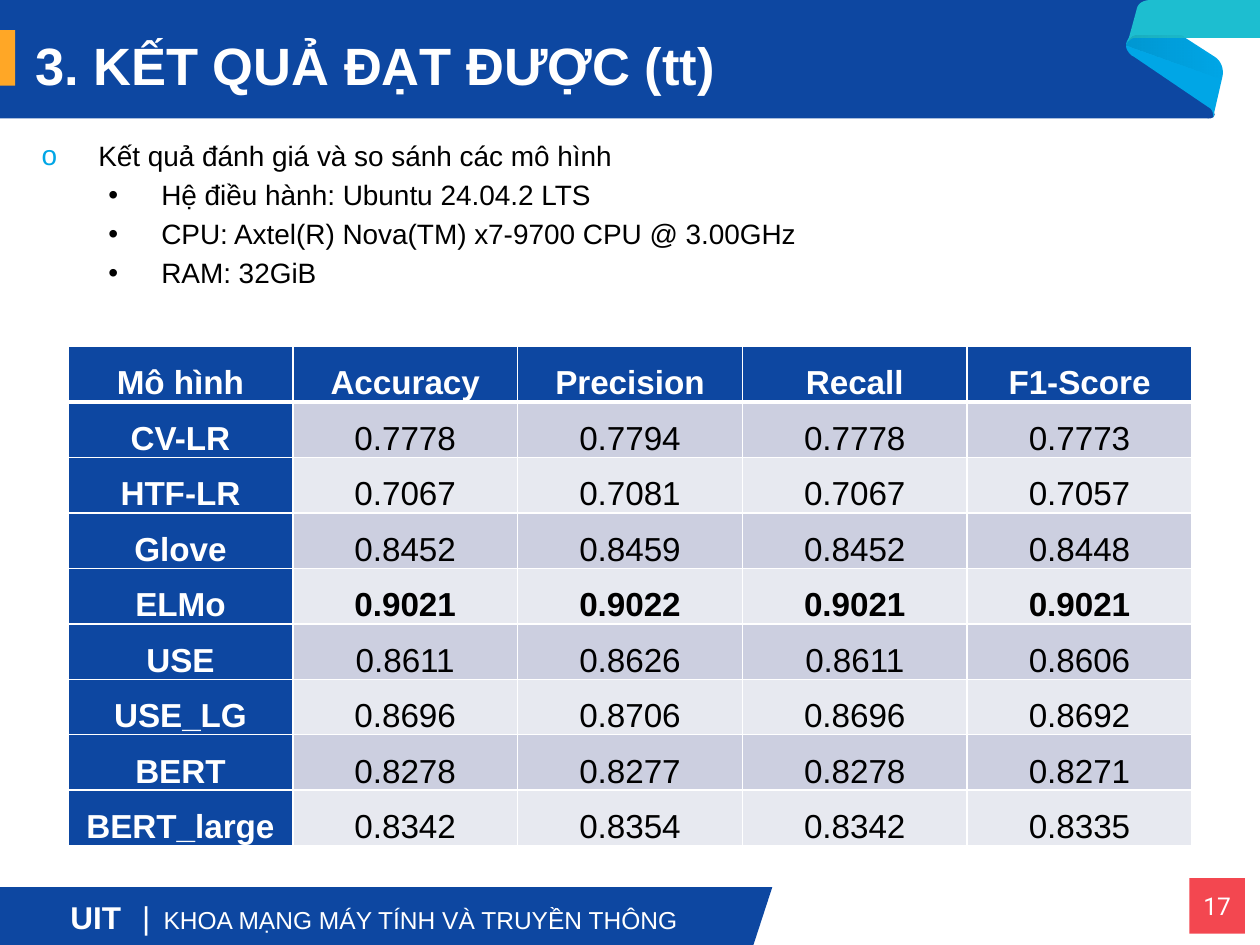
from dataclasses import dataclass
from itertools import product

from lxml import etree
from pptx import Presentation
from pptx.dml.color import RGBColor
from pptx.enum import shapes, text
from pptx.oxml import ns
from pptx.util import Inches, Pt


@dataclass(frozen=True)
class Theme:
    """Colours, fonts and type sizes."""
    navy: str = "0D47A1"
    blue: str = "00A6E6"
    teal: str = "1DBED0"
    amber: str = "FFA726"
    red: str = "F34750"
    white: str = "FFFFFF"
    black: str = "000000"
    odd: str = "CCCFE0"
    even: str = "E7E9F0"
    face: str = "Arial"
    digit: str = "Roboto"
    head: int = 30
    cell: int = 19
    mark: int = 18
    body: int = 16
    small: int = 14


def add(node, tag, **attrs):
    """Append a drawing element with the given attributes."""
    return etree.SubElement(node, ns.qn("a:" + tag), attrs)


def curve(start, ctrl, steps=12):
    """Return points along a cubic curve."""
    pts = [start, ctrl[:2], ctrl[2:4], ctrl[4:]]
    out = []
    for i in range(1, steps + 1):
        t = i / steps
        mix = ((1 - t) ** 3, 3 * t * (1 - t) ** 2, 3 * t * t * (1 - t), t ** 3)
        out.append(tuple(sum(m * p[k] for m, p in zip(mix, pts)) for k in (0, 1)))
    return out


class Deck:
    """Holds the theme and the current slide."""

    def __init__(self, theme):
        self.theme = theme
        self.prs = Presentation()
        self.prs.slide_width, self.prs.slide_height = Inches(10), Inches(7.5)
        self.slide = self.prs.slides.add_slide(self.prs.slide_layouts[1])

    def font(self, font, size, color, bold=False, face=None):
        font.size, font.bold, font.name = Pt(size), bold, face or self.theme.face
        font.color.rgb = RGBColor.from_string(color)

    def paint(self, shape, color):
        shape.shadow.inherit = False
        shape.line.fill.background()
        if color:
            shape.fill.solid()
            shape.fill.fore_color.rgb = RGBColor.from_string(color)

    def outline(self, path, color=None):
        pts = [path[0]]
        for step in path[1:]:
            pts += [step] if len(step) == 2 else curve(pts[-1], step)
        pts = [(Inches(x), Inches(y)) for x, y in pts]
        pen = self.slide.shapes.build_freeform(*pts[0])
        pen.add_line_segments(pts[1:])
        shape = pen.convert_to_shape()
        self.paint(shape, color)
        return shape

    def shade(self, path):
        shape = self.outline(path)
        shape.fill.gradient()
        shape.fill.gradient_angle = 0
        for stop, pos in zip(shape.fill.gradient_stops, (0, 1)):
            stop.position = pos
            stop.color.rgb = RGBColor.from_string(self.theme.black)
        for node, alpha in zip(shape.element.iter(ns.qn("a:srgbClr")), ("9000", "0")):
            add(node, "alpha", val=alpha)

    def block(self, box, color, label=""):
        shape = self.slide.shapes.add_shape(
            shapes.MSO_SHAPE.RECTANGLE, *map(Inches, box))
        self.paint(shape, color)
        if label:
            frame = shape.text_frame
            frame.margin_left = frame.margin_right = 0
            frame.margin_top = frame.margin_bottom = 0
            para = frame.paragraphs[0]
            para.text, para.alignment = label, text.PP_ALIGN.CENTER
            self.font(para.font, self.theme.small, self.theme.white,
                      face=self.theme.digit)

    def footer(self, box, parts, tabs):
        frame = self.slide.shapes.add_textbox(*map(Inches, box)).text_frame
        frame.word_wrap = True
        para = frame.paragraphs[0]
        stops = add(para._p.get_or_add_pPr(), "tabLst")
        for pos in tabs:
            add(stops, "tab", pos=str(Inches(pos)), algn="l")
        for words, size, bold in parts:
            run = para.add_run()
            run.text = words
            self.font(run.font, size, self.theme.white, bold)

    def holder(self, shape, box):
        shape.element.getparent().append(shape.element)
        shape.left, shape.top, shape.width, shape.height = map(Inches, box)
        shape.text_frame.auto_size = text.MSO_AUTO_SIZE.NONE
        shape.text_frame.word_wrap = True
        return shape.text_frame

    def title(self, box, words):
        frame = self.holder(self.slide.shapes.title, box)
        frame.vertical_anchor = text.MSO_ANCHOR.MIDDLE
        para = frame.paragraphs[0]
        para.text, para.alignment = words, text.PP_ALIGN.LEFT
        para.line_spacing = 0.9
        self.font(para.font, self.theme.head, self.theme.white, True)

    def bullets(self, box, items):
        frame = self.holder(self.slide.placeholders[1], box)
        kinds = (("o", self.theme.blue, 0.5, -0.45, 0),
                 ("•", self.theme.black, 1, -0.42, 5))
        for i, (level, words) in enumerate(items):
            char, color, left, hang, gap = kinds[level]
            para = frame.add_paragraph() if i else frame.paragraphs[0]
            para.text, para.level = words, level
            para.alignment = text.PP_ALIGN.JUSTIFY
            para.line_spacing, para.space_before = 0.9, Pt(gap)
            props = para._p.get_or_add_pPr()
            props.set("marL", str(Inches(left)))
            props.set("indent", str(Inches(hang)))
            add(add(props, "buClr"), "srgbClr", val=color)
            add(props, "buFont", typeface=self.theme.face)
            add(props, "buChar", char=char)
            self.font(para.font, self.theme.body, self.theme.black)

    def edges(self, cell, row):
        props = cell._tc.get_or_add_tcPr()
        for side in "LRTB":
            thick = (row, side) in ((0, "B"), (1, "T"))
            line = add(props, "ln" + side, w=str(Pt(3 if thick else 1)))
            add(add(line, "solidFill"), "srgbClr", val=self.theme.white)

    def table(self, box, rows, best):
        tall, wide = len(rows), len(rows[0])
        grid = self.slide.shapes.add_table(tall, wide, *map(Inches, box)).table
        for r, c in product(range(tall), range(wide)):
            cell, key = grid.cell(r, c), r == 0 or c == 0
            self.edges(cell, r)
            cell.margin_left = cell.margin_right = Inches(0.11)
            cell.margin_top = cell.margin_bottom = 0
            cell.fill.solid()
            fill = self.theme.navy if key else self.theme.odd if r % 2 else self.theme.even
            cell.fill.fore_color.rgb = RGBColor.from_string(fill)
            para = cell.text_frame.paragraphs[0]
            para.text, para.alignment = rows[r][c], text.PP_ALIGN.CENTER
            para.line_spacing, para.space_after = 1.5, Pt(10)
            ink = self.theme.white if key else self.theme.black
            self.font(para.font, self.theme.cell, ink, key or rows[r][0] == best)


SCORES = """Mô hình|Accuracy|Precision|Recall|F1-Score
CV-LR|0.7778|0.7794|0.7778|0.7773
HTF-LR|0.7067|0.7081|0.7067|0.7057
Glove|0.8452|0.8459|0.8452|0.8448
ELMo|0.9021|0.9022|0.9021|0.9021
USE|0.8611|0.8626|0.8611|0.8606
USE_LG|0.8696|0.8706|0.8696|0.8692
BERT|0.8278|0.8277|0.8278|0.8271
BERT_large|0.8342|0.8354|0.8342|0.8335"""


def main():
    """Build the results slide."""
    look = Theme()
    deck = Deck(look)
    deck.outline([(0, 0), (9.21, 0), (9.32, 0, 9.26, 0.33, 9.32, 0.46),
                  (9.38, 0.6, 9.5, 0.68, 9.59, 0.78), (9.62, 0.8, 9.63, 0.84, 9.63, 0.88),
                  (9.64, 0.91), (9.63, 0.95, 9.59, 0.94, 9.55, 0.94), (0, 0.94)], look.navy)
    deck.outline([(8.98, 0.44), (9, 0.45), (9.59, 0.85), (9.63, 0.87, 9.63, 0.91, 9.63, 0.94),
                  (9.64, 0.88), (9.7, 0.62), (9.72, 0.55, 9.69, 0.48, 9.64, 0.45),
                  (9.33, 0.25), (9.01, 0.26), (8.98, 0.26, 8.95, 0.31, 8.94, 0.34),
                  (8.93, 0.38, 8.95, 0.41, 8.98, 0.44)], look.blue)
    deck.outline([(8.94, 0.35), (8.95, 0.33, 8.98, 0.3, 9.01, 0.3), (10, 0.3), (10, 0),
                  (9.14, 0), (9.08, 0, 9.03, 0.02, 9.02, 0.08), (8.96, 0.3)], look.teal)
    deck.shade([(8.94, 0.36), (9.71, 0.63), (9.71, 0.57, 9.68, 0.52, 9.64, 0.48),
                (9.38, 0.28), (9.01, 0.28), (8.98, 0.28, 8.95, 0.32, 8.94, 0.35)])
    deck.block((0, 0.24, 0.12, 0.44), look.amber)
    deck.block((9.44, 6.97, 0.44, 0.44), look.red, "17")
    deck.outline([(0, 7.04), (6.13, 7.04), (5.98, 7.5), (0, 7.5)], look.navy)
    deck.footer((0.46, 7.08, 5.53, 0.4),
                (("UIT", look.mark, True), ("\t|", look.mark, False),
                 ("\tKHOA MẠNG MÁY TÍNH VÀ TRUYỀN THÔNG", look.small, False)), (0.57, 0.74))
    deck.title((0.18, 0, 8.7, 1.09), "3. KẾT QUẢ ĐẠT ĐƯỢC (tt)")
    deck.table((0.54, 2.75, 8.92, 3.76), [line.split("|") for line in SCORES.split("\n")], "ELMo")
    deck.bullets((0.18, 1.08, 9.63, 5.61),
                 ((0, "Kết quả đánh giá và so sánh các mô hình"),
                  (1, "Hệ điều hành: Ubuntu 24.04.2 LTS"),
                  (1, "CPU: Axtel(R) Nova(TM) x7-9700 CPU @ 3.00GHz"),
                  (1, "RAM: 32GiB")))
    deck.prs.save("out.pptx")


if __name__ == "__main__":
    main()
